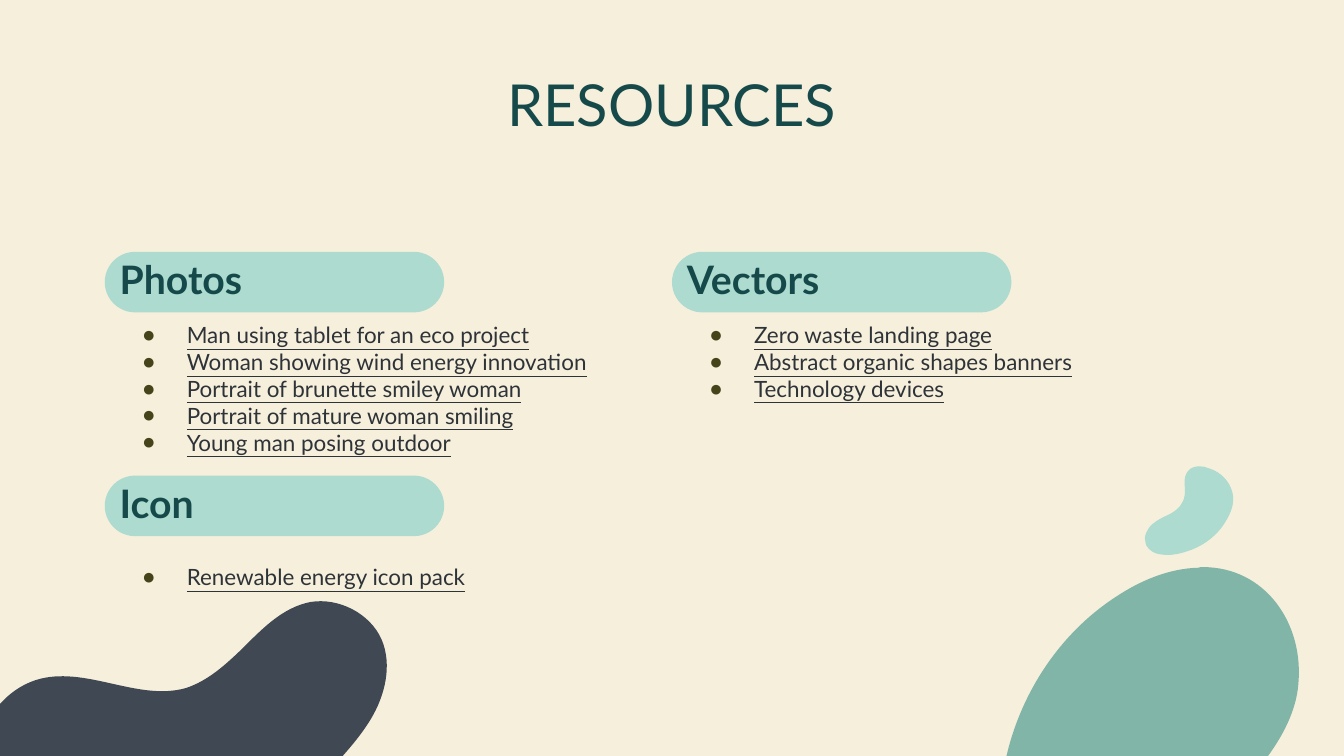
from lxml.etree import SubElement
from pptx import Presentation
from pptx.dml.color import RGBColor
from pptx.enum.shapes import MSO_SHAPE
from pptx.enum.text import MSO_ANCHOR, MSO_AUTO_SIZE, PP_ALIGN
from pptx.oxml.ns import qn
from pptx.util import Cm, Pt

CREAM = RGBColor(0xF6, 0xEF, 0xDC)
MINT = RGBColor(0xAD, 0xDB, 0xD0)
SAGE = RGBColor(0x81, 0xB5, 0xA8)
SLATE = RGBColor(0x3F, 0x48, 0x53)
TEAL = RGBColor(0x16, 0x4A, 0x4A)
INK = RGBColor(0x2E, 0x33, 0x38)
OLIVE = RGBColor(0x45, 0x43, 0x19)

# Content: text and space before it in points
TITLE = "RESOURCES"
PHOTOS = [
    ("Man using tablet for an eco project", 0),
    ("Woman showing wind energy innovation", 0),
    ("Portrait of brunette smiley woman", 0),
    ("Portrait of mature woman smiling", 0),
    ("Young man posing outdoor", 0),
    ("Renewable energy icon pack", 115.2),  # belongs under the Icon heading
]
VECTORS = [
    ("Zero waste landing page", 0),
    ("Abstract organic shapes banners", 0),
    ("Technology devices", 0),
]

# Text formats
TITLE_FONT = {"name": "Lato", "size": Pt(62), "bold": False}
HEADING_FONT = {"name": "Lato", "size": Pt(42), "bold": True}
ITEM_FONT = {"name": "Lato", "size": Pt(24), "bold": False, "underline": True}
FRAME = {"margin_left": 0, "margin_top": 0, "margin_right": 0, "margin_bottom": 0,
         "word_wrap": True, "auto_size": MSO_AUTO_SIZE.NONE,
         "vertical_anchor": MSO_ANCHOR.TOP}

# Layout in centimetres
LEFT, RIGHT = 3.96, 25.4
UPPER, LOWER = 9.52, 17.98
PILL_SIZE = (12.83, 2.29)
TEXT_INSET, HEADING_DROP, LIST_DROP = 0.56, 0.15, 2.62
TEXT_WIDTH, HEADING_HEIGHT, LIST_HEIGHT = 20.32, 1.98, 13.41

# Blobs: start point, then Bezier curves (three points) or straight lines
# (one point), in units of 2.54 cm
BLOB_UNIT = 2.54
BLOBS = [
    (SAGE, (17.9, 8.44), [
        [(17.88, 8.44), (17.85, 8.44), (17.83, 8.45)],
        [(17.4, 8.46), (16.97, 8.64), (16.61, 8.88)],
        [(15.76, 9.43), (15.17, 10.34), (14.96, 11.33)],
        [(18.81, 11.33)],
        [(19.09, 10.97), (19.29, 10.57), (19.32, 10.19)],
        [(19.41, 9.28), (18.83, 8.44), (17.9, 8.44)]]),
    (SLATE, (5.68, 9.52), [
        [(5.51, 9.13), (5.04, 8.89), (4.62, 8.96)],
        [(4.21, 9.04), (3.91, 9.35), (3.61, 9.65)],
        [(3.36, 9.89), (3.1, 10.13), (2.77, 10.24)],
        [(2.07, 10.44), (1.32, 9.93), (0.61, 10.1)],
        [(0.16, 10.21), (-0.17, 10.59), (-0.33, 11.05)],
        [(-0.41, 11.26), (-0.45, 11.49), (-0.46, 11.71)],
        [(-0.46, 11.84), (-0.45, 11.97), (-0.42, 12.1)],
        [(0.52, 12.1)],
        [(4.42, 12.1)],
        [(4.51, 11.95), (4.62, 11.79), (4.74, 11.66)],
        [(5.01, 11.34), (5.31, 11.05), (5.52, 10.7)],
        [(5.73, 10.35), (5.84, 9.9), (5.68, 9.52)]]),
    (MINT, (17.85, 6.94), [
        [(17.78, 6.94), (17.72, 6.96), (17.68, 7.01)],
        [(17.59, 7.12), (17.65, 7.25), (17.63, 7.37)],
        [(17.61, 7.5), (17.54, 7.57), (17.43, 7.64)],
        [(17.33, 7.69), (17.23, 7.73), (17.15, 7.8)],
        [(17.07, 7.87), (17.01, 7.99), (17.05, 8.09)],
        [(17.05, 8.1), (17.05, 8.11), (17.06, 8.12)],
        [(17.1, 8.19), (17.18, 8.24), (17.26, 8.25)],
        [(17.29, 8.25), (17.32, 8.26), (17.36, 8.26)],
        [(17.46, 8.26), (17.57, 8.24), (17.65, 8.21)],
        [(17.89, 8.14), (18.11, 7.98), (18.24, 7.76)],
        [(18.32, 7.63), (18.38, 7.48), (18.34, 7.33)],
        [(18.3, 7.16), (18.16, 7.02), (17.99, 6.97)],
        [(17.95, 6.95), (17.9, 6.94), (17.85, 6.94)]]),
]


def apply_format(target, values):
    for name, value in values.items():
        setattr(target, name, value)


def paint(shape, color):
    shape.fill.solid()
    shape.fill.fore_color.rgb = color
    shape.line.fill.background()
    shape.shadow.inherit = False


def add_blob(shapes, start, segments):
    """Build the outline through all points, then bend each group of three."""
    points = [(Cm(x * BLOB_UNIT), Cm(y * BLOB_UNIT))
              for segment in [[start], *segments] for x, y in segment]
    builder = shapes.build_freeform(*points[0])
    builder.add_line_segments(points[1:], close=True)
    blob = builder.convert_to_shape()
    lines = iter(list(blob.element.iter(qn("a:lnTo"))))
    for segment in segments:
        group = [next(lines) for _ in segment]
        if len(group) == 3:
            curve = group[0]
            for line in group[1:]:
                curve.append(line[0])
                line.getparent().remove(line)
            curve.tag = qn("a:cubicBezTo")
    return blob


def add_bullet(paragraph):
    properties = paragraph._p.get_or_add_pPr()
    properties.set("marL", str(Cm(2.54)))
    properties.set("indent", str(-Cm(1.69)))
    color = SubElement(properties, qn("a:buClr"))
    SubElement(color, qn("a:srgbClr"), val=str(OLIVE))
    SubElement(properties, qn("a:buChar"), char="●")


def write(holder, place, lines, font, color, align=PP_ALIGN.LEFT, bullets=False):
    """Place a text holder in front of the shapes and fill it."""
    apply_format(holder, dict(zip(("left", "top", "width", "height"), map(Cm, place))))
    holder.element.getparent().append(holder.element)
    frame = holder.text_frame
    apply_format(frame, FRAME)
    for number, (text, gap) in enumerate(lines):
        paragraph = frame.add_paragraph() if number else frame.paragraphs[0]
        if bullets:
            add_bullet(paragraph)
        apply_format(paragraph, {"alignment": align, "space_before": Pt(gap),
                                 "space_after": Pt(0), "line_spacing": 1.0})
        run = paragraph.add_run()
        run.text = text
        apply_format(run.font, font)
        run.font.color.rgb = color


def main():
    presentation = Presentation()
    presentation.slide_width, presentation.slide_height = Cm(50.8), Cm(28.58)
    slide = presentation.slides.add_slide(presentation.slide_layouts[4])
    slide.background.fill.solid()
    slide.background.fill.fore_color.rgb = CREAM
    shapes = slide.shapes

    # Organic blobs
    for color, start, segments in BLOBS:
        paint(add_blob(shapes, start, segments), color)

    # Title
    write(shapes.title, (3.96, 2.6, 42.88, 2.51), [(TITLE, 0)],
          TITLE_FONT, TEAL, PP_ALIGN.CENTER)

    # Sections: pill, heading and list
    _, photos_heading, photos_list, vectors_heading, vectors_list = slide.placeholders
    icon_heading = shapes.add_textbox(0, 0, 0, 0)
    sections = [
        ("Photos", LEFT, UPPER, photos_heading, photos_list, PHOTOS),
        ("Vectors", RIGHT, UPPER, vectors_heading, vectors_list, VECTORS),
        ("Icon", LEFT, LOWER, icon_heading, None, []),
    ]
    for heading, left, top, heading_holder, list_holder, items in sections:
        pill = shapes.add_shape(MSO_SHAPE.ROUNDED_RECTANGLE,
                                *map(Cm, (left, top, *PILL_SIZE)))
        pill.adjustments[0] = 0.5
        paint(pill, MINT)
        text_left = left + TEXT_INSET
        write(heading_holder, (text_left, top + HEADING_DROP, TEXT_WIDTH, HEADING_HEIGHT),
              [(heading, 0)], HEADING_FONT, TEAL)
        if list_holder is not None:
            write(list_holder, (text_left, top + LIST_DROP, TEXT_WIDTH, LIST_HEIGHT),
                  items, ITEM_FONT, INK, bullets=True)

    presentation.save("out.pptx")


if __name__ == "__main__":
    main()
